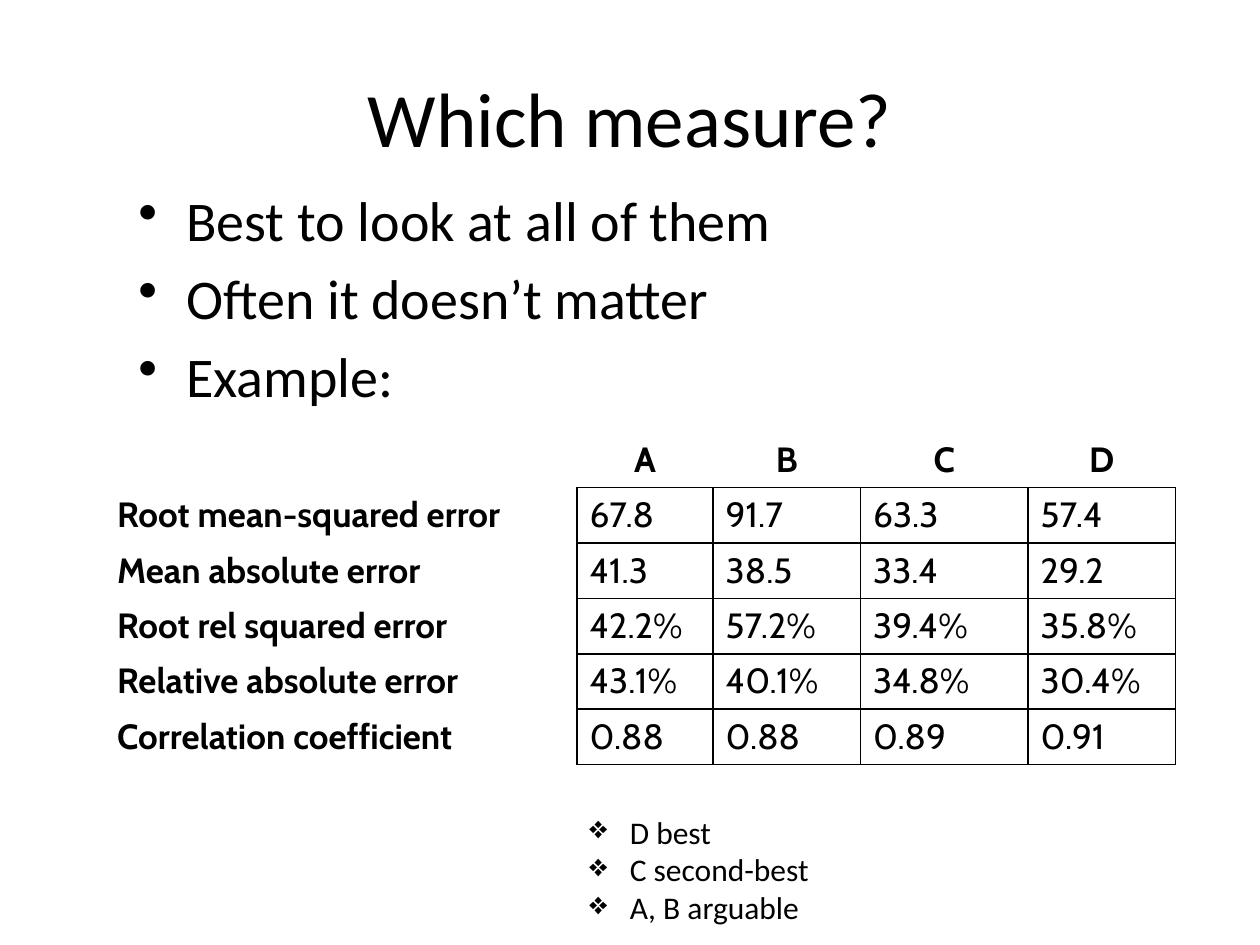
from dataclasses import dataclass

import pptx
import pptx.dml.color
import pptx.enum.text
import pptx.oxml.ns
import pptx.util
from lxml import etree

Inches = pptx.util.Inches
Pt = pptx.util.Pt
Align = pptx.enum.text.PP_ALIGN
Anchor = pptx.enum.text.MSO_ANCHOR


@dataclass
class Theme:
    ink: str = "000000"
    text_font: str = "Calibri"
    table_font: str = "Cabin"
    title_size: float = 44
    body_size: float = 32
    table_size: float = 20
    note_size: float = 18
    border_width: float = 1


class SlideBuilder:
    def __init__(self, slide, theme):
        self.slide = slide
        self.theme = theme

    def style(self, paragraph, size, font_name, bold=False):
        font = paragraph.font
        font.name = font_name
        font.size = Pt(size)
        font.bold = bold
        font.color.rgb = pptx.dml.color.RGBColor.from_string(self.theme.ink)

    def add_child(self, parent, tag, **attributes):
        return etree.SubElement(parent, pptx.oxml.ns.qn(tag), attributes)

    def title(self, text, left, top, width, height):
        shape = self.slide.shapes.title
        shape.left, shape.top = Inches(left), Inches(top)
        shape.width, shape.height = Inches(width), Inches(height)
        shape.text_frame.text = text
        shape.text_frame.vertical_anchor = Anchor.MIDDLE
        paragraph = shape.text_frame.paragraphs[0]
        paragraph.alignment = Align.CENTER
        self.style(paragraph, self.theme.title_size, self.theme.text_font)

    def bullets(self, lines, left, top, width, height, size, symbol, indent, gap=0):
        shape = self.slide.shapes.add_textbox(
            Inches(left), Inches(top), Inches(width), Inches(height))
        frame = shape.text_frame
        frame.word_wrap = True
        frame.text = "\n".join(lines)
        for paragraph in frame.paragraphs:
            paragraph.space_before = Pt(gap)
            self.style(paragraph, size, self.theme.text_font)
            properties = paragraph._p.get_or_add_pPr()
            properties.set("marL", str(Inches(indent)))
            properties.set("indent", str(-Inches(indent)))
            bullet = self.add_child(properties, "a:buChar", char=symbol)
            properties.remove(bullet)
            properties.insert_element_before(bullet, "a:tabLst", "a:defRPr", "a:extLst")

    def borders(self, cell, visible):
        properties = cell._tc.get_or_add_tcPr()
        for position, side in enumerate("LRTB"):
            line = self.add_child(properties, f"a:ln{side}",
                                  w=str(Pt(self.theme.border_width)))
            if side in visible:
                fill = self.add_child(line, "a:solidFill")
                self.add_child(fill, "a:srgbClr", val=self.theme.ink)
            else:
                self.add_child(line, "a:noFill")
            properties.insert(position, line)

    def table(self, rows, left, top, column_widths, row_height):
        frame = self.slide.shapes.add_table(
            len(rows), len(column_widths), Inches(left), Inches(top),
            Inches(sum(column_widths)), Inches(row_height * len(rows)))
        table = frame.table
        table.first_row = False
        table.horz_banding = False
        for column, width in zip(table.columns, column_widths):
            column.width = Inches(width)
        for row_index, values in enumerate(rows):
            for column_index, value in enumerate(values):
                cell = table.cell(row_index, column_index)
                cell.text = value
                cell.fill.background()
                is_header, is_label = row_index == 0, column_index == 0
                paragraph = cell.text_frame.paragraphs[0]
                paragraph.alignment = Align.CENTER if is_header else Align.LEFT
                self.style(paragraph, self.theme.table_size, self.theme.table_font,
                           bold=is_header or is_label)
                if is_header:
                    visible = "" if is_label else "B"
                else:
                    visible = "R" if is_label else "LRTB"
                self.borders(cell, visible)


def main():
    presentation = pptx.Presentation()
    presentation.slide_width = Inches(10)
    presentation.slide_height = Inches(7.5)
    theme = Theme()
    builder = SlideBuilder(
        presentation.slides.add_slide(presentation.slide_layouts[5]), theme)

    builder.title("Which measure?", 0.5, 0.3, 9, 1.25)
    builder.bullets(
        ["Best to look at all of them", "Often it doesn’t matter", "Example:"],
        1, 1.42, 8.25, 4.5, theme.body_size, "•", 0.38, gap=6.4)
    builder.table(
        [
            ["", "A", "B", "C", "D"],
            ["Root mean-squared error", "67.8", "91.7", "63.3", "57.4"],
            ["Mean absolute error", "41.3", "38.5", "33.4", "29.2"],
            ["Root rel squared error", "42.2%", "57.2%", "39.4%", "35.8%"],
            ["Relative absolute error", "43.1%", "40.1%", "34.8%", "30.4%"],
            ["Correlation coefficient", "0.88", "0.88", "0.89", "0.91"],
        ],
        0.83, 3.43, [3.75, 1.08, 1.17, 1.33, 1.17], 0.44)
    builder.bullets(["D best", "C second-best", "A, B arguable"],
                    4.58, 6.4, 2.25, 0.68, theme.note_size, "❖", 0.32)
    presentation.save("out.pptx")


if __name__ == "__main__":
    main()
